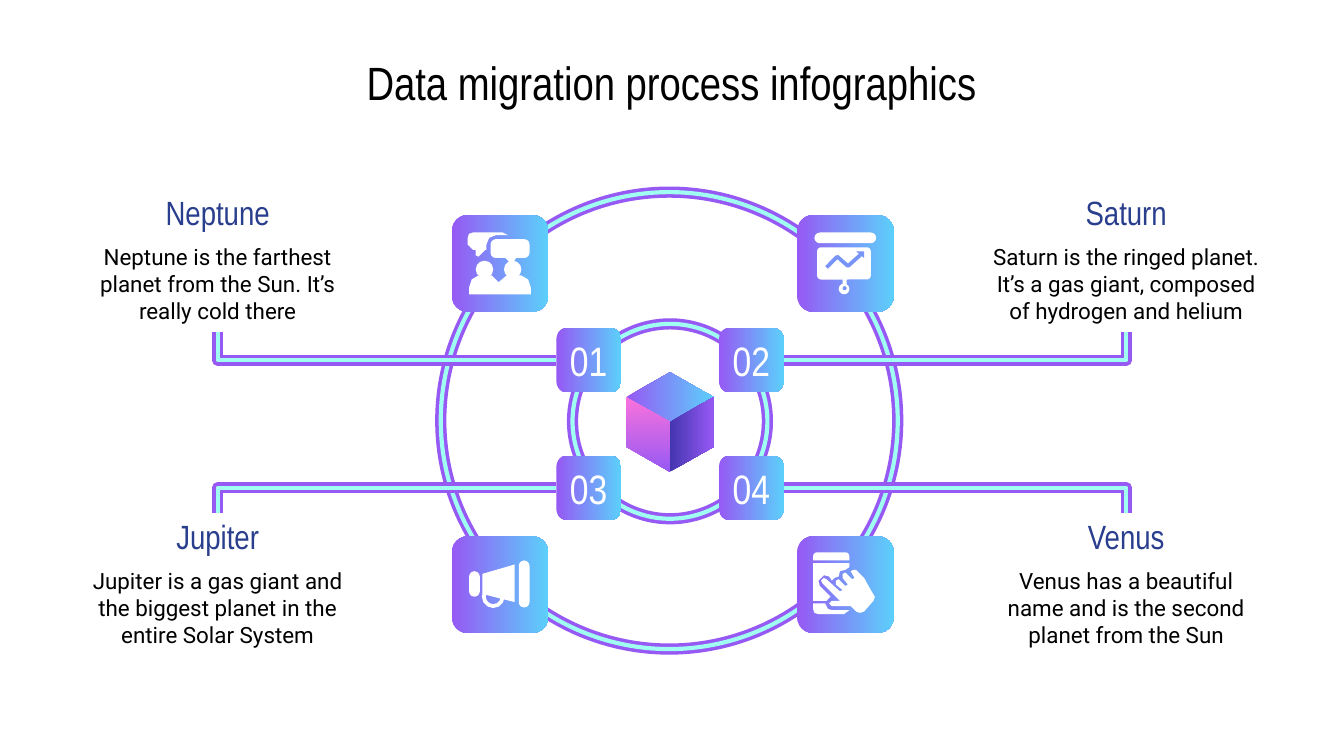
import pptx
import pptx.util
import pptx.dml.color
import pptx.enum.shapes
import pptx.enum.text
import pptx.oxml.ns
from dataclasses import dataclass
from lxml import etree

Inches = pptx.util.Inches
Kind = pptx.enum.shapes.MSO_SHAPE


@dataclass(frozen=True)
class Theme:
    white: str = "FFFFFF"
    black: str = "000000"
    navy: str = "293E8D"
    violet: str = "9659F4"
    sky: str = "5CCFFB"
    mint: str = "A0FDF1"
    pink: str = "FA72DC"
    indigo: str = "4335AF"
    mid: str = "7994F7"
    head: str = "Arial Narrow"
    body: str = "Roboto"
    title: float = 25
    num: float = 22
    name: float = 18
    text: float = 12
    wide: float = 6
    thin: float = 2.25


T = Theme()
TILE = (T.violet, T.sky, 0)
TRACK = ((T.violet, T.wide), (T.mint, T.thin))


def rgb(code):
    return pptx.dml.color.RGBColor.from_string(code)


def paint(shape, fill=None, line=None):
    """Fill with a colour or (start, end, angle); line is (colour, points)."""
    shape.shadow.inherit = False
    if fill is None:
        shape.fill.background()
    elif isinstance(fill, tuple):
        shape.fill.gradient()
        shape.fill.gradient_angle = fill[2]
        for stop, code in zip(shape.fill.gradient_stops, fill):
            stop.color.rgb = rgb(code)
    else:
        shape.fill.solid()
        shape.fill.fore_color.rgb = rgb(fill)
    if line:
        shape.line.color.rgb = rgb(line[0])
        shape.line.width = pptx.util.Pt(line[1])
    else:
        shape.line.fill.background()


def block(slide, kind, x, y, w, h, fill=T.white, line=None, adj=None):
    shape = slide.shapes.add_shape(kind, *map(Inches, (x, y, w, h)))
    if adj is not None:
        shape.adjustments[0] = adj
    paint(shape, fill, line)
    return shape


def poly(slide, x, y, pts, fill=T.white, line=None):
    """Draw points relative to (x, y); without a fill the path stays open."""
    spots = [(Inches(x + a), Inches(y + b)) for a, b in pts]
    build = slide.shapes.build_freeform(*spots[0])
    build.add_line_segments(spots[1:], close=fill is not None)
    paint(build.convert_to_shape(), fill, line)


def write(shape, text, size, font, color, inset=0.1):
    frame = shape.text_frame
    frame.text = text
    look = {"word_wrap": True, "vertical_anchor": pptx.enum.text.MSO_ANCHOR.MIDDLE}
    for side in ("left", "top", "right", "bottom"):
        look["margin_" + side] = Inches(inset)
    for key, val in look.items():
        setattr(frame, key, val)
    para = frame.paragraphs[0]
    para.alignment = pptx.enum.text.PP_ALIGN.CENTER
    run = para.runs[0].font
    for key, val in {"size": pptx.util.Pt(size), "name": font, "bold": False}.items():
        setattr(run, key, val)
    run.color.rgb = rgb(color)


def title(slide, x, y, w, h, text):
    shape = slide.shapes.title
    for key, val in {"left": x, "top": y, "width": w, "height": h}.items():
        setattr(shape, key, Inches(val))
    write(shape, text, T.title, T.head, T.black)


def ring(slide, x, y, size):
    for line in TRACK:
        block(slide, Kind.OVAL, x, y, size, size, None, line)


def elbow(slide, x1, y1, x2, y2):
    """Run level from the first point, then turn once to the second."""
    kind = pptx.enum.shapes.MSO_CONNECTOR.ELBOW
    for color, width in TRACK:
        link = slide.shapes.add_connector(kind, *map(Inches, (x1, y1, x2, y2)))
        link.line.color.rgb = rgb(color)
        link.line.width = pptx.util.Pt(width)
        props = link._element.spPr
        props.find(pptx.oxml.ns.qn("a:prstGeom")).set("prst", "bentConnector2")
        etree.SubElement(props, pptx.oxml.ns.qn("a:effectLst"))


def tile(slide, x, y, size):
    return block(slide, Kind.ROUNDED_RECTANGLE, x, y, size, size, TILE, adj=0.167)


def label(slide, x, y, w, name, text):
    for top, high, words, size, font, color in (
        (y + 0.34, 0.72, text, T.text, T.body, T.black),
        (y, 0.34, name, T.name, T.head, T.navy),
    ):
        box = slide.shapes.add_textbox(*map(Inches, (x, top, w, high)))
        write(box, words, size, font, color)


def talk(slide, x, y):
    poly(slide, x, y, [
        (0.12, 0.17), (0.13, 0.14), (0.16, 0.13), (0.38, 0.13), (0.42, 0.15),
        (0.33, 0.15), (0.28, 0.17), (0.26, 0.22), (0.26, 0.26), (0.25, 0.26),
        (0.2, 0.31), (0.18, 0.3), (0.18, 0.26), (0.16, 0.26), (0.12, 0.22)])
    block(slide, Kind.ROUNDED_RECTANGLE, x + 0.29, y + 0.18, 0.29, 0.14, adj=0.28)
    poly(slide, x, y, [(0.4, 0.32), (0.45, 0.37), (0.48, 0.32)])
    for left in (0.18, 0.39):
        block(slide, Kind.OVAL, x + left, y + 0.34, 0.13, 0.13)
    poly(slide, x, y, [
        (0.13, 0.54), (0.15, 0.48), (0.2, 0.45), (0.3, 0.45), (0.35, 0.5),
        (0.41, 0.45), (0.52, 0.45), (0.57, 0.48), (0.59, 0.54), (0.59, 0.59),
        (0.13, 0.59)])


def board(slide, x, y):
    block(slide, Kind.ROUNDED_RECTANGLE, x + 0.13, y + 0.13, 0.46, 0.08, adj=0.5)
    block(slide, Kind.ROUNDED_RECTANGLE, x + 0.15, y + 0.24, 0.4, 0.24, adj=0.12)
    block(slide, Kind.RECTANGLE, x + 0.34, y + 0.47, 0.03, 0.05)
    block(slide, Kind.OVAL, x + 0.31, y + 0.51, 0.08, 0.08)
    block(slide, Kind.OVAL, x + 0.34, y + 0.53, 0.03, 0.03, T.mid)
    poly(slide, x, y, [(0.22, 0.39), (0.3, 0.31), (0.38, 0.38), (0.48, 0.29)],
         None, (T.mid, 2))
    poly(slide, x, y, [(0.44, 0.27), (0.5, 0.27), (0.5, 0.32)], T.mid)


def horn(slide, x, y):
    block(slide, Kind.ROUNDED_RECTANGLE, x + 0.13, y + 0.26, 0.08, 0.19, adj=0.5)
    block(slide, Kind.ROUNDED_RECTANGLE, x + 0.5, y + 0.18, 0.08, 0.35, adj=0.5)
    block(slide, Kind.OVAL, x + 0.24, y + 0.38, 0.14, 0.14, None, (T.white, 2))
    poly(slide, x, y, [(0.47, 0.21), (0.23, 0.28), (0.23, 0.43), (0.47, 0.49)])


def phone(slide, x, y):
    block(slide, Kind.ROUND_2_SAME_RECTANGLE, x + 0.12, y + 0.12, 0.27, 0.06, adj=0.5)
    poly(slide, x, y, [
        (0.12, 0.2), (0.12, 0.48), (0.22, 0.48), (0.25, 0.45), (0.17, 0.37),
        (0.16, 0.33), (0.2, 0.29), (0.24, 0.3), (0.26, 0.33), (0.28, 0.31),
        (0.31, 0.3), (0.32, 0.26), (0.36, 0.25), (0.39, 0.23), (0.39, 0.2)])
    poly(slide, x, y, [
        (0.12, 0.5), (0.12, 0.54), (0.13, 0.57), (0.16, 0.58), (0.35, 0.58),
        (0.39, 0.55), (0.26, 0.55), (0.23, 0.54), (0.21, 0.5)])
    poly(slide, x, y, [
        (0.42, 0.25), (0.4, 0.26), (0.43, 0.31), (0.41, 0.32), (0.36, 0.27),
        (0.34, 0.28), (0.34, 0.31), (0.38, 0.36), (0.36, 0.37), (0.31, 0.32),
        (0.29, 0.33), (0.29, 0.36), (0.34, 0.4), (0.32, 0.41), (0.22, 0.32),
        (0.2, 0.31), (0.18, 0.33), (0.19, 0.35), (0.32, 0.48), (0.26, 0.48),
        (0.24, 0.5), (0.26, 0.52), (0.4, 0.52), (0.44, 0.56), (0.47, 0.57),
        (0.5, 0.56), (0.57, 0.48), (0.58, 0.45), (0.55, 0.4), (0.5, 0.31),
        (0.44, 0.25)])


def cube(slide, x, y, w, h):
    mid, low, deep = w / 2, h / 4, h * 3 / 4
    core = (mid, h / 2)
    faces = (
        ([core, (0, low), (mid, 0), (w, low)], TILE),
        ([(0, low), (0, deep), (mid, h), core], (T.pink, T.violet, 270)),
        ([(w, low), core, (mid, h), (w, deep)], (T.indigo, T.violet, 0)),
    )
    for pts, fill in faces:
        poly(slide, x, y, pts, fill)


STEPS = (
    ("Neptune", "Neptune is the farthest planet from the Sun. It’s really cold there", talk),
    ("Saturn", "Saturn is the ringed planet. It’s a gas giant, composed of hydrogen and helium", board),
    ("Jupiter", "Jupiter is a gas giant and the biggest planet in the entire Solar System", horn),
    ("Venus", "Venus has a beautiful name and is the second planet from the Sun", phone),
)


def diagram(slide, x, y, w):
    """Rings and cube in the centre, with one step in each corner."""
    ring(slide, x + 2.78, y + 0.02, 3.4)
    ring(slide, x + 3.76, y + 1, 1.45)
    nums = (x + 3.64, x + 4.85)
    ends = (x + 1.12, x + w - 1.12)
    for i, (name, text, icon) in enumerate(STEPS):
        row, col = divmod(i, 2)
        top = y + 1.03 + 0.95 * row
        elbow(slide, nums[col] + 0.48 * col, top + 0.24,
              ends[col], y + (1.06, 2.41)[row])
        write(tile(slide, nums[col], top, 0.48), f"{i + 1:02}",
              T.num, T.head, T.white, 0)
        left, high = x + 2.86 + 2.57 * col, y + 0.19 + 2.39 * row
        tile(slide, left, high, 0.72)
        icon(slide, left, high)
        label(slide, x + (w - 2.24) * col, y + 2.41 * row, 2.24, name, text)
    cube(slide, x + 4.16, y + 1.36, 0.65, 0.74)


def main():
    deck = pptx.Presentation()
    deck.slide_width, deck.slide_height = Inches(10), Inches(10 * 9 / 16)
    slide = deck.slides.add_slide(deck.slide_layouts[5])
    title(slide, 0.56, 0.33, 8.87, 0.56, "Data migration process infographics")
    diagram(slide, 0.5, 1.41, 9)
    deck.save("out.pptx")


if __name__ == "__main__":
    main()
